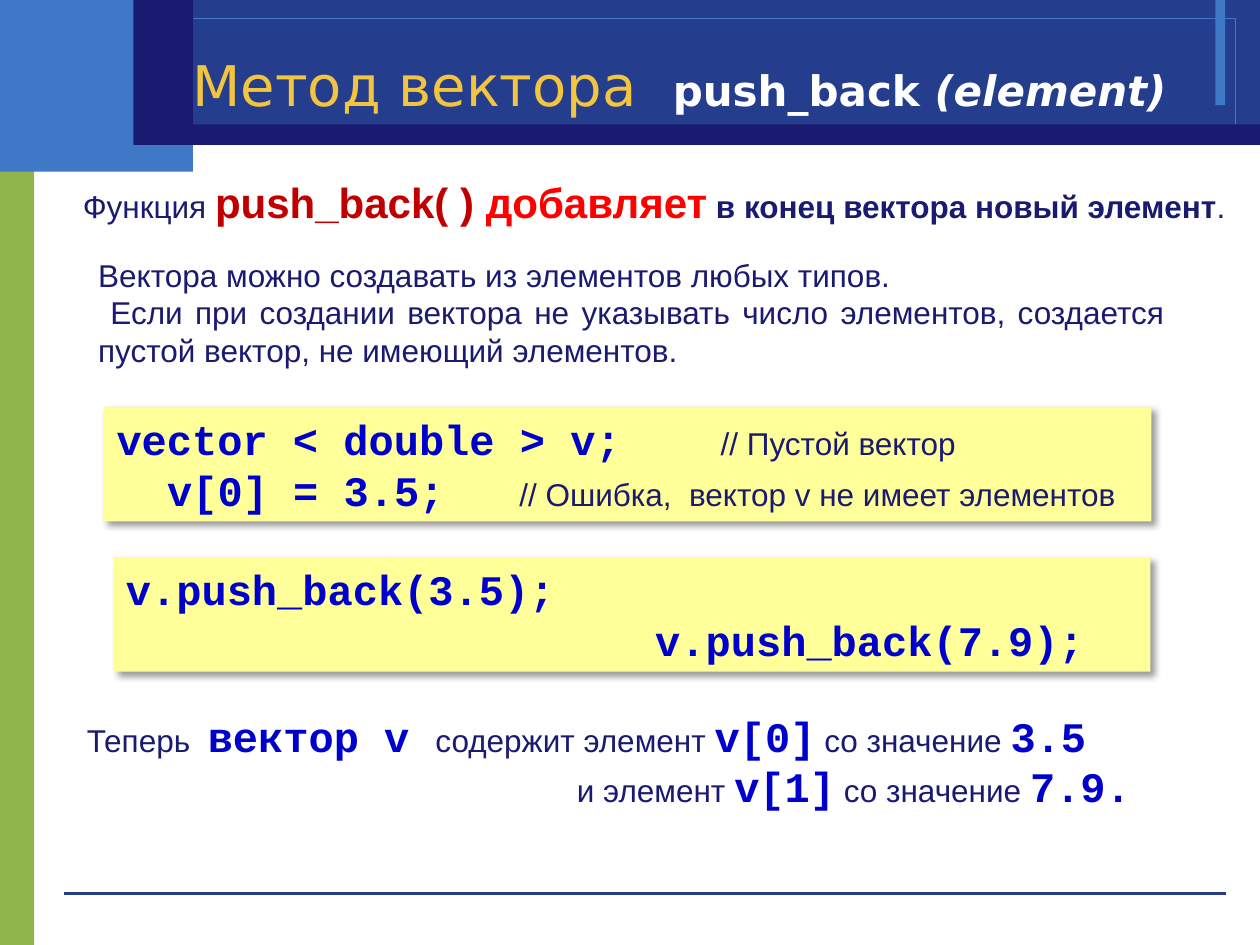
from lxml import etree
from pptx import Presentation
from pptx import util as u
from pptx.dml.color import RGBColor
from pptx.enum import shapes, text
from pptx.oxml.ns import qn

GREEN = RGBColor(0x90, 0xB5, 0x4D)
SKY = RGBColor(0x3E, 0x78, 0xC6)
BLUE = RGBColor(0x24, 0x3D, 0x8C)
NAVY = RGBColor(0x1A, 0x1A, 0x70)
GOLD = RGBColor(0xF3, 0xC4, 0x3F)
WHITE = RGBColor(0xFF, 0xFF, 0xFF)
YELLOW = RGBColor(0xFF, 0xFF, 0x99)
CODE_BLUE = RGBColor(0x00, 0x00, 0xCC)
DARK_RED = RGBColor(0xC0, 0x00, 0x00)
RED = RGBColor(0xFF, 0x00, 0x00)


def plain(s, bold=False):
    return s, "Arial", 18, NAVY, bold, False


def strong(s, color):
    return s, "Arial", 24, color, True, False


def code(s):
    return s, "Courier New", 24, CODE_BLUE, True, False


def heading(s, size, color, bold=False, italic=False):
    return s, "DejaVu Sans", size, color, bold, italic


def add_rect(slide, box, fill=None, line=None):
    sp = slide.shapes.add_shape(shapes.MSO_SHAPE.RECTANGLE,
                                *(u.Cm(v) for v in box))
    sp.shadow.inherit = False
    if fill is None:
        sp.fill.background()
    else:
        sp.fill.solid()
        sp.fill.fore_color.rgb = fill
    if line is None:
        sp.line.fill.background()
    else:
        sp.line.color.rgb = line
        sp.line.width = u.Pt(0)
    return sp


def add_rule(slide, x1, x2, y, color):
    line = slide.shapes.add_connector(shapes.MSO_CONNECTOR.STRAIGHT,
                                      u.Cm(x1), u.Cm(y), u.Cm(x2), u.Cm(y))
    line.line.color.rgb = color
    line.line.width = u.Pt(0)
    etree.SubElement(line._element.spPr, qn("a:effectLst"))


def add_drop_shadow(sp):
    effects = sp._element.spPr.find(qn("a:effectLst"))
    shadow = etree.SubElement(effects, qn("a:outerShdw"), blurRad=str(u.Pt(4)),
                              dist=str(u.Pt(3)), dir="2700000", algn="tl",
                              rotWithShape="0")
    color = etree.SubElement(shadow, qn("a:srgbClr"), val="000000")
    etree.SubElement(color, qn("a:alpha"), val="40000")


def set_tabs(p, stops):
    tabs = etree.SubElement(p._p.get_or_add_pPr(), qn("a:tabLst"))
    for stop in stops:
        etree.SubElement(tabs, qn("a:tab"), pos=str(u.Cm(stop)), algn="l")


def write(sp, paragraphs, align=text.PP_ALIGN.LEFT,
          anchor=text.MSO_ANCHOR.TOP):
    """Each paragraph is a pair: its tab stops in cm and its runs."""
    tf = sp.text_frame
    tf.word_wrap = True
    tf.vertical_anchor = anchor
    for i, (stops, runs) in enumerate(paragraphs):
        p = tf.add_paragraph() if i else tf.paragraphs[0]
        p.alignment = align
        if stops:
            set_tabs(p, stops)
        for words, font, size, color, bold, italic in runs:
            r = p.add_run()
            r.text = words
            r.font.name = font
            r.font.size = u.Pt(size)
            r.font.color.rgb = color
            r.font.bold = bold
            r.font.italic = italic


def add_text(slide, box, paragraphs, **layout):
    sp = slide.shapes.add_textbox(*(u.Cm(v) for v in box))
    write(sp, paragraphs, **layout)


def add_code_box(slide, box, paragraphs):
    sp = add_rect(slide, box, YELLOW)
    add_drop_shadow(sp)
    write(sp, paragraphs, anchor=text.MSO_ANCHOR.MIDDLE)


def add_frame(slide):
    add_rect(slide, (0, 2.71, 0.69, 16.34), GREEN)
    add_rect(slide, (0, 0, 3.89, 3.46), SKY)
    add_rect(slide, (3.89, 0, 21.51, 2.92), BLUE)
    add_rect(slide, (24.5, 0, 0.2, 2.12), SKY)
    add_rect(slide, (0.5, 0.37, 24.41, 2.16), line=SKY)
    add_rule(slide, 1.29, 24.72, 18.01, BLUE)
    add_rect(slide, (3.3, 2.51, 22.1, 0.41), NAVY)
    add_rect(slide, (2.69, 0, 1.2, 2.92), NAVY)


def main():
    prs = Presentation()
    prs.slide_width, prs.slide_height = u.Cm(25.4), u.Cm(19.05)
    slide = prs.slides.add_slide(prs.slide_layouts[6])
    add_frame(slide)

    add_text(slide, (3.63, 0.92, 21.84, 1.57), [
        ((), [heading("Метод вектора  ", 32, GOLD),
              heading("push_back ", 24, WHITE, bold=True),
              heading("(element)", 24, WHITE, bold=True, italic=True)]),
    ], anchor=text.MSO_ANCHOR.MIDDLE)

    add_text(slide, (1.42, 3.43, 23.85, 1.27), [
        ((), [plain("Функция "), strong("push_back( ) ", DARK_RED),
              strong("добавляет", RED),
              plain(" в конец вектора новый элемент", bold=True),
              plain(".")]),
    ], align=text.PP_ALIGN.JUSTIFY)

    add_text(slide, (1.73, 5.03, 22, 3.33), [
        ((), [plain("Вектора можно создавать из элементов любых типов.")]),
        ((), [plain(" Если при создании вектора не указывать число элементов, "
                    "создается пустой вектор, не имеющий элементов.")]),
    ], align=text.PP_ALIGN.JUSTIFY)

    add_code_box(slide, (2.1, 8.2, 21.11, 2.31), [
        ((12.18,), [code("vector < double > v;"),
                    plain("\t// Пустой вектор")]),
        ((1.02, 8.12), [code("\tv[0] = 3.5;"),
                        plain("\t// Ошибка,  вектор v не имеет элементов")]),
    ])
    add_code_box(slide, (2.29, 11.23, 20.9, 2.31), [
        ((), [code("v.push_back(3.5);")]),
        ((10.67,), [code("\tv.push_back(7.9);")]),
    ])

    add_text(slide, (1.5, 14.2, 22.22, 2.31), [
        ((7.03,), [plain("Теперь  "), code("вектор v"),
                   plain("\tсодержит элемент "), code("v[0]"),
                   plain(" со значение "), code("3.5")]),
        ((9.88,), [plain("\tи элемент "), code("v[1]"),
                   plain(" со значение "), code("7.9.")]),
    ])
    prs.save("out.pptx")


if __name__ == "__main__":
    main()
